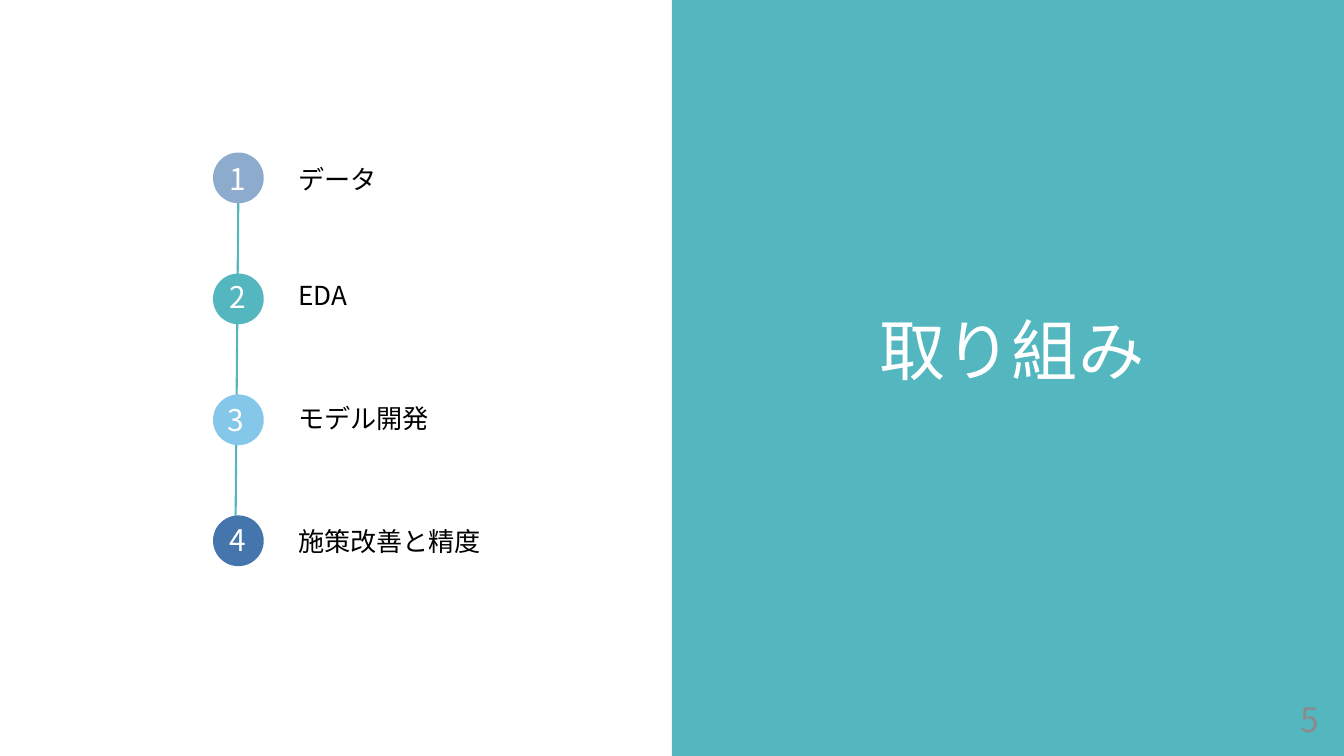
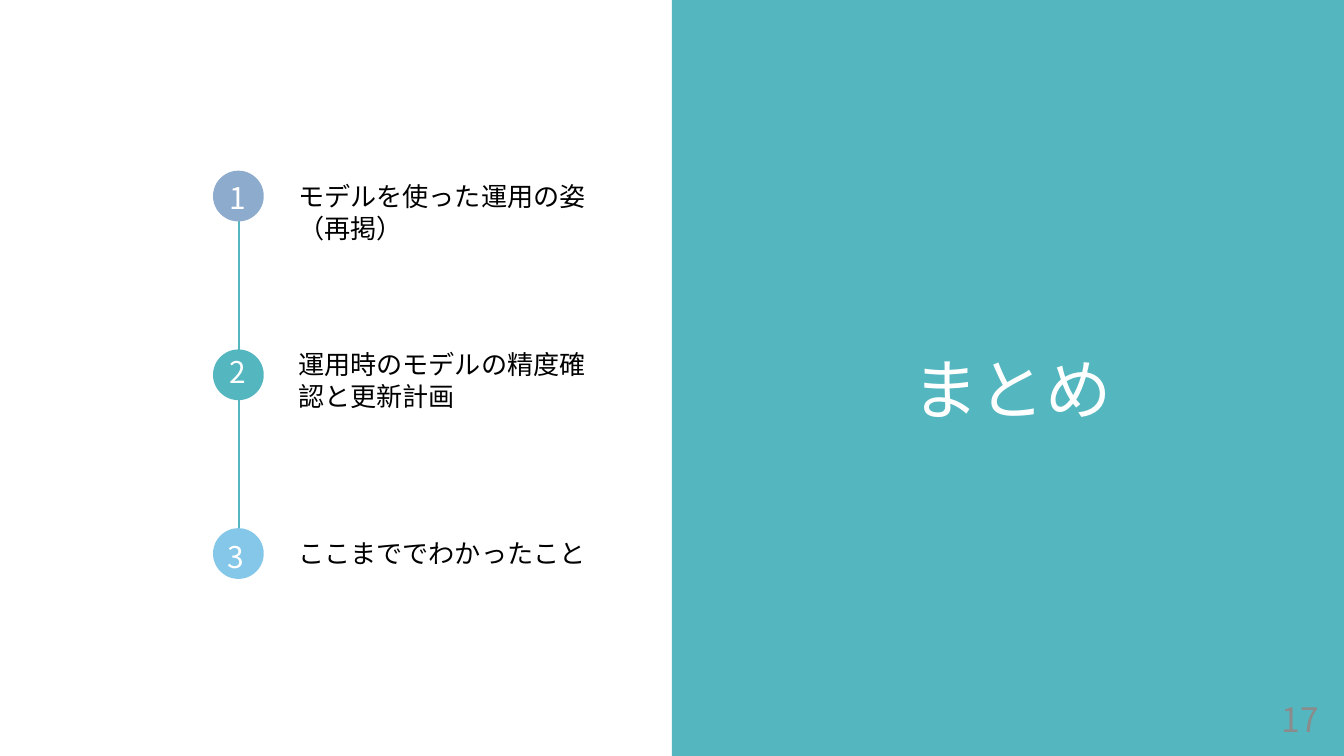
"""Build two section divider slides with a numbered agenda beside a title panel."""
from lxml import etree
from pptx import Presentation, util as u
from pptx.dml.color import RGBColor
from pptx.enum import shapes, text
from pptx.oxml import ns

WIDTH, HEIGHT = 20, 11.25
FONT = "Noto Sans CJK JP"
COLOURS = {"teal": "54B6BF", "blue_grey": "8DABCD", "sky": "85C7E8",
           "navy": "4475AD", "white": "FFFFFF", "black": "000000", "grey": "8B8B8B"}
STEP_COLOURS = ["blue_grey", "teal", "sky", "navy"]
CIRCLE_LEFT, CIRCLE_SIZE = 3.17, 0.755
LABEL_LEFT, LABEL_WIDTH = 4.44, 4.32

SECTIONS = [
    {"title": "取り組み", "title_top": 4.6, "number": "5",
     "first_top": 2.27, "pitch": 1.8, "line": (3.55, 2.53, 3.5, 8.42),
     "steps": [("データ", 2.43, 2.39), ("EDA", 4.16, 4.14),
               ("モデル開発", 5.99, 5.98), ("施策改善と精度", 7.82, 7.76)]},
    {"title": "まとめ", "title_top": 5.18, "number": "17",
     "first_top": 2.54, "pitch": 2.66, "line": (3.55, 2.81, 3.55, 8.41),
     "steps": [("モデルを使った運用の姿（再掲）", 2.69, 2.68),
               ("運用時のモデルの精度確認と更新計画", 5.19, 5.26),
               ("ここまででわかったこと", 8, 8.01)]},
]


def colour(name):
    return RGBColor.from_string(COLOURS[name])


def add_filled(page, kind, area, fill):
    shape = page.shapes.add_shape(kind, *map(u.Inches, area))
    shape.shadow.inherit = False
    shape.fill.solid()
    shape.fill.fore_color.rgb = colour(fill)
    shape.line.fill.background()


def add_text(page, words, area, size, ink, align=text.PP_ALIGN.LEFT):
    box = page.shapes.add_textbox(*map(u.Inches, area))
    frame = box.text_frame
    frame.margin_left = frame.margin_right = frame.margin_top = frame.margin_bottom = 0
    frame.word_wrap = True
    frame.auto_size = text.MSO_AUTO_SIZE.SHAPE_TO_FIT_TEXT
    frame.text = words
    para = frame.paragraphs[0]
    para.alignment = align
    para.line_spacing = u.Pt(size * 1.2)
    span = para.runs[0]
    span.font.size = u.Pt(size)
    span.font.color.rgb = colour(ink)
    span.font.name = FONT
    east_asian = etree.SubElement(span.font._element, ns.qn("a:ea"))
    east_asian.set("typeface", FONT)


def add_timeline(page, ends):
    line = page.shapes.add_connector(shapes.MSO_CONNECTOR.STRAIGHT, *map(u.Inches, ends))
    line.line.color.rgb = colour("teal")
    line.line.width = u.Pt(2.25)
    etree.SubElement(line._element.spPr, ns.qn("a:effectLst"))


def add_steps(page, section):
    for index, (label, label_top, digit_top) in enumerate(section["steps"]):
        top = section["first_top"] + index * section["pitch"]
        add_filled(page, shapes.MSO_SHAPE.OVAL,
                   (CIRCLE_LEFT, top, CIRCLE_SIZE, CIRCLE_SIZE), STEP_COLOURS[index])
        digit_left = 3.21 if index == 2 else 3.24
        add_text(page, str(index + 1), (digit_left, digit_top, 0.61, 0.86), 32, "white",
                 text.PP_ALIGN.CENTER)
        add_text(page, label, (LABEL_LEFT, label_top, LABEL_WIDTH, 0.47), 28, "black")


def add_section(deck, section):
    page = deck.slides.add_slide(deck.slide_layouts[6])
    add_filled(page, shapes.MSO_SHAPE.RECTANGLE, (WIDTH / 2, 0, WIDTH / 2, HEIGHT), "teal")
    add_timeline(page, section["line"])
    add_steps(page, section)
    add_text(page, section["title"], (10.83, section["title_top"], 8.46, 1.19), 71, "white",
             text.PP_ALIGN.CENTER)
    add_text(page, section["number"], (18.13, 10.4, 1.5, 0.6), 36, "grey",
             text.PP_ALIGN.RIGHT)


def main():
    deck = Presentation()
    deck.slide_width, deck.slide_height = u.Inches(WIDTH), u.Inches(HEIGHT)
    for section in SECTIONS:
        add_section(deck, section)
    deck.save("out.pptx")


if __name__ == "__main__":
    main()
